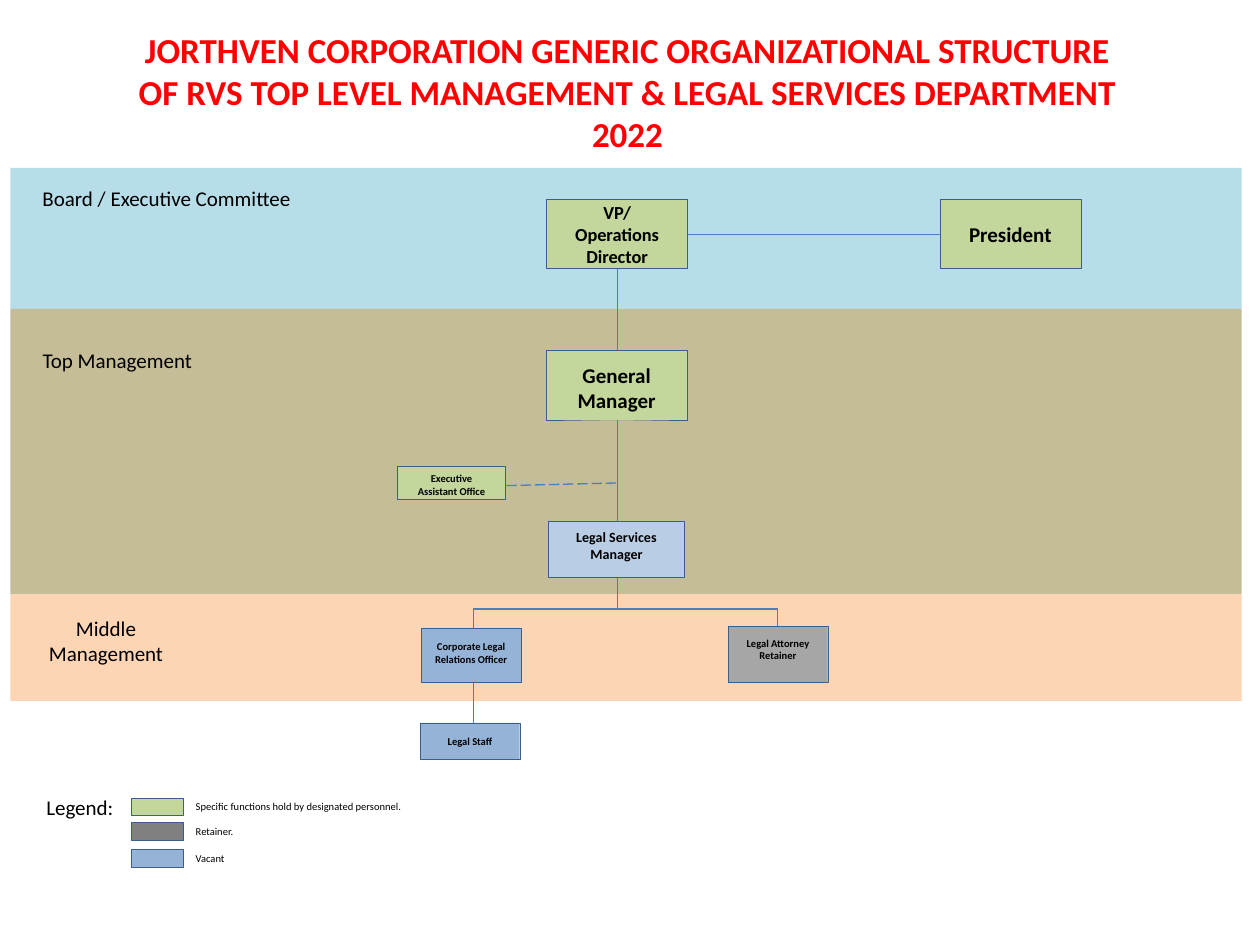
from lxml import etree
from pptx import Presentation, util as u
from pptx.dml import color
from pptx.enum import dml, shapes, text
from pptx.oxml import ns

COLORS = {
    "title": "FF0000", "ink": "000000", "border": "3A5F8C", "link": "4B7EBC",
    "board": "B7DEE8", "top": "C4BD97", "middle": "FCD5B5",
    "designated": "C3D69B", "manager": "B9CDE5", "vacant": "95B3D7",
    "attorney": "A6A6A6", "retainer": "808080",
}
LEFT, CENTER = text.PP_ALIGN.LEFT, text.PP_ALIGN.CENTER


class OrgChart:
    """Holds the style and the slide, and draws each kind of element in points."""

    def __init__(self, slide, font="Calibri"):
        self.slide, self.font = slide, font

    def rgb(self, name):
        return color.RGBColor.from_string(COLORS[name])

    def place(self, element, left, top, width, height):
        element.left, element.top = u.Pt(left), u.Pt(top)
        element.width, element.height = u.Pt(width), u.Pt(height)

    def add_lines(self, frame, lines, size, bold=False, align=CENTER, ink="ink"):
        frame.word_wrap = True
        frame.auto_size = text.MSO_AUTO_SIZE.NONE
        frame.vertical_anchor = text.MSO_ANCHOR.MIDDLE
        for index, line in enumerate(lines):
            paragraph = frame.add_paragraph() if index else frame.paragraphs[0]
            paragraph.alignment = align
            run = paragraph.add_run()
            run.text = line
            run.font.name, run.font.size, run.font.bold = self.font, u.Pt(size), bold
            run.font.color.rgb = self.rgb(ink)

    def title(self, words, *bounds):
        heading = self.slide.shapes.title
        self.place(heading, *bounds)
        self.add_lines(heading.text_frame, [words], 20, True, ink="title")

    def label(self, lines, size, left, top, width, height, align=LEFT):
        caption = self.slide.shapes.add_textbox(*map(u.Pt, (left, top, width, height)))
        self.add_lines(caption.text_frame, lines, size, align=align)

    def block(self, fill, left, top, width, height, border=True):
        block = self.slide.shapes.add_shape(
            shapes.MSO_SHAPE.RECTANGLE, *map(u.Pt, (left, top, width, height)))
        block.shadow.inherit = False
        block.fill.solid()
        block.fill.fore_color.rgb = self.rgb(fill)
        if border:
            block.line.color.rgb = self.rgb("border")
            block.line.width = u.Pt(0.25)
        else:
            block.line.fill.background()
        return block

    def post(self, lines, size, fill, left, top, width, height, lift=0):
        frame = self.block(fill, left, top, width, height).text_frame
        frame.margin_left = frame.margin_right = u.Pt(4)
        frame.margin_top, frame.margin_bottom = u.Pt(0), u.Pt(lift)
        self.add_lines(frame, lines, size, True)

    def link(self, x1, y1, x2, y2, dashed=False):
        link = self.slide.shapes.add_connector(
            shapes.MSO_CONNECTOR.STRAIGHT, *map(u.Pt, (x1, y1, x2, y2)))
        link.line.color.rgb = self.rgb("link")
        link.line.width = u.Pt(0.75)
        if dashed:
            link.line.dash_style = dml.MSO_LINE.LONG_DASH
        etree.SubElement(link._element.spPr, ns.qn("a:effectLst"))


def main():
    deck = Presentation()
    deck.slide_width, deck.slide_height = u.Pt(720), u.Pt(540)
    chart = OrgChart(deck.slides.add_slide(deck.slide_layouts[5]))

    chart.title("JORTHVEN CORPORATION GENERIC ORGANIZATIONAL STRUCTURE OF RVS "
                "TOP LEVEL MANAGEMENT & LEGAL SERVICES DEPARTMENT 2022",
                69.1, 12.2, 579, 80)

    levels = [("board", 96, 80.5), ("top", 176.5, 163), ("middle", 339.5, 61)]
    for level, top, height in levels:
        chart.block(level, 6, top, 703.5, height, border=False)
    chart.label(["Board / Executive Committee"], 12, 17.2, 102.2, 163, 22)
    chart.label(["Top Management"], 12, 17.2, 194.6, 110, 22)
    chart.label(["Middle", "Management"], 12, 8.6, 348, 104, 36, CENTER)

    trunk, officer, attorney, branch = 352.8, 270.5, 444.5, 348
    links = [
        (trunk, 153.4, trunk, branch), (officer, branch, attorney, branch),
        (officer, branch, officer, 361), (attorney, branch, attorney, 360),
        (officer, 390, officer, 416), (393, 134, 537, 134),
    ]
    for ends in links:
        chart.link(*ends)
    chart.link(289.4, 277.5, trunk, 276, dashed=True)

    posts = [
        (["VP/", "Operations Director"], 10.5, "designated", 312.3, 113.8, 80.7, 39.6),
        (["President"], 12, "designated", 537, 113.8, 80.7, 39.6),
        (["General", "Manager"], 12, "designated", 312, 200.3, 80.7, 39.6, -3),
        (["Executive", "Assistant Office"], 6, "designated", 227, 266.4, 62, 19, -2),
        (["Legal Services", "Manager"], 8, "manager", 313.3, 297.8, 78, 32, 4),
        (["Corporate Legal Relations Officer"], 6, "vacant", 240.7, 359, 57, 31, 3),
        (["Legal Attorney", "Retainer"], 6, "attorney", 416, 358, 57, 32, 6),
        (["Legal Staff"], 6, "vacant", 240, 413, 57, 21),
    ]
    for post in posts:
        chart.post(*post)

    chart.label(["Legend:"], 12, 19.4, 450, 60, 22)
    legend = [
        ("designated", "Specific functions hold by designated personnel.", 456),
        ("retainer", "Retainer.", 470), ("vacant", "Vacant", 485.5),
    ]
    for fill, meaning, top in legend:
        chart.block(fill, 75, top, 30, 10)
        chart.label([meaning], 6, 104.8, top - 2, 150, 14)

    deck.save("out.pptx")


if __name__ == "__main__":
    main()
